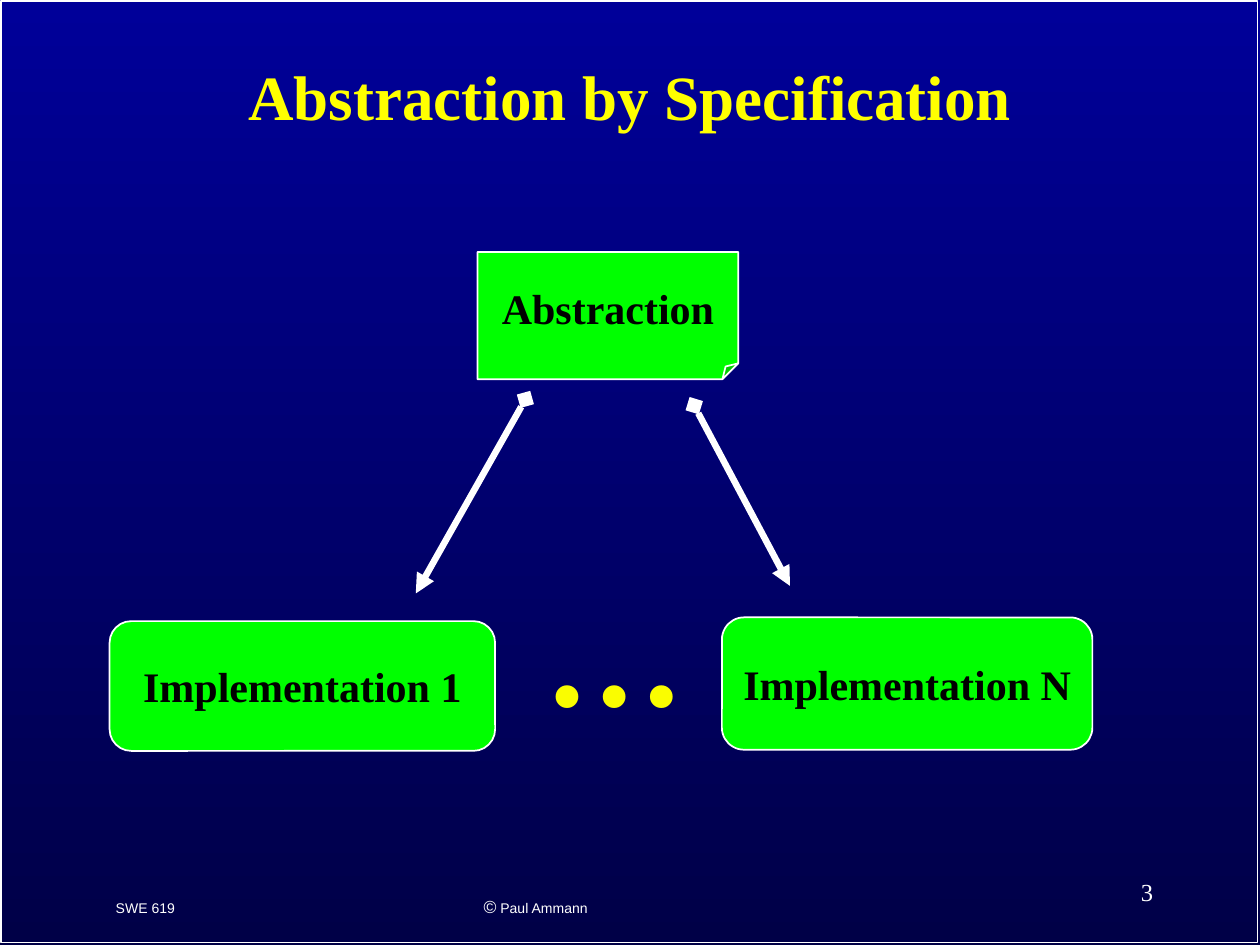
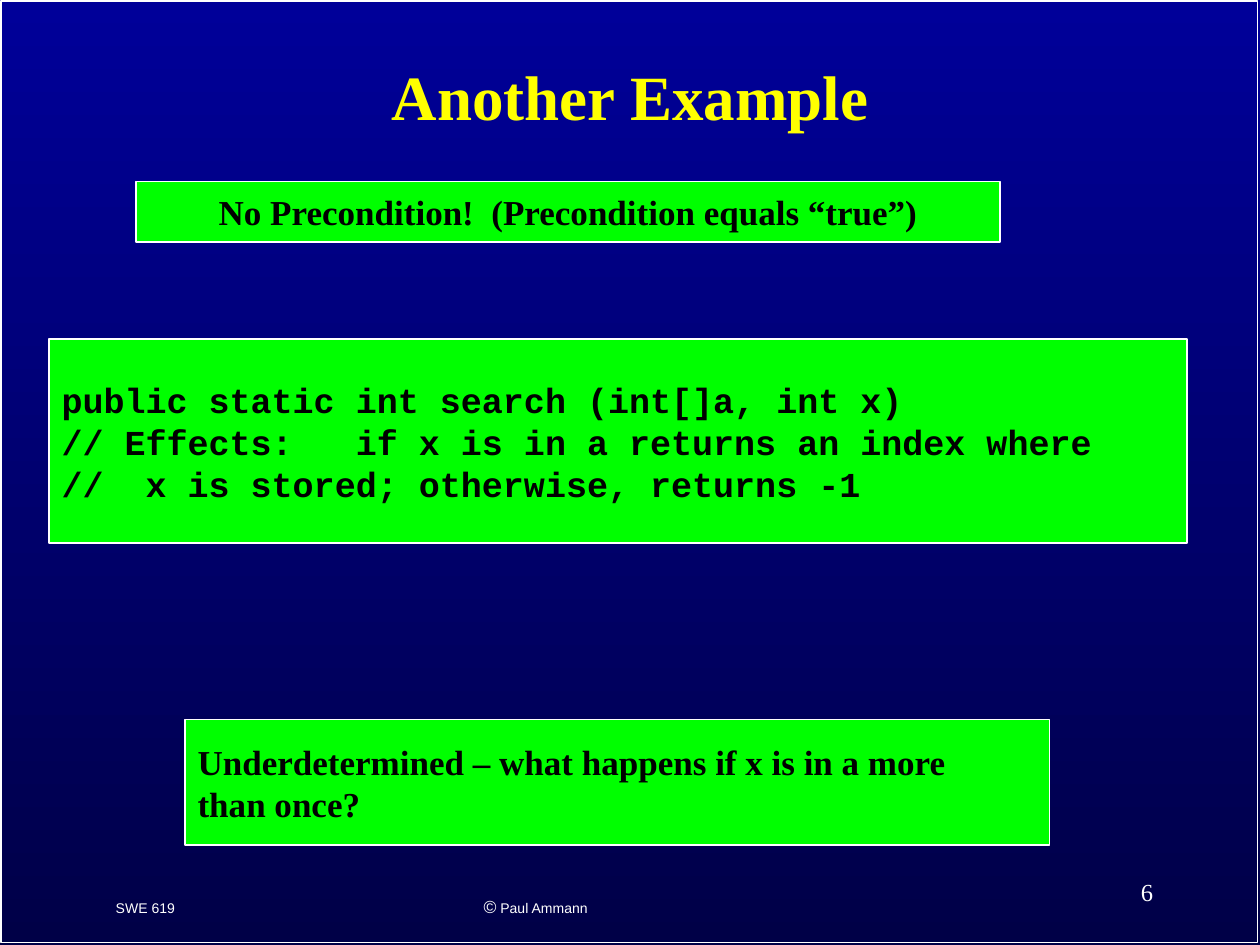
from pptx import Presentation
from pptx.dml.color import RGBColor
from pptx.enum.shapes import MSO_CONNECTOR, MSO_SHAPE
from pptx.enum.text import MSO_ANCHOR, PP_ALIGN
from pptx.oxml.ns import qn
from pptx.util import Inches, Pt
from lxml.etree import SubElement

COLORS = {
    "sky": "000099",
    "night": "000047",
    "title": "FFFF00",
    "dots": "FAFD00",
    "panel": "00FF00",
    "ink": "000000",
    "white": "FFFFFF",
}
SERIF, SANS, MONO = "Times New Roman", "Arial", "Courier New"

STYLES = {
    "title": ({"name": SERIF, "size": Pt(36), "bold": True}, "title"),
    "diagram": ({"name": SERIF, "size": Pt(24), "bold": True}, "ink"),
    "remark": ({"name": SERIF, "size": Pt(20), "bold": True}, "ink"),
    "code": ({"name": MONO, "size": Pt(20), "bold": True}, "ink"),
    "dots": ({"name": SERIF, "size": Pt(80), "bold": True}, "dots"),
    "footer": ({"name": SANS, "size": Pt(8)}, "white"),
    "copyright": ({"name": SANS, "size": Pt(10)}, "white"),
    "number": ({"name": SERIF, "size": Pt(14)}, "white"),
}


def write(frame, lines, align=PP_ALIGN.LEFT, anchor=MSO_ANCHOR.TOP, wrap=False):
    """Fill a text frame; each line is a list of (text, style) runs."""
    frame.word_wrap, frame.vertical_anchor = wrap, anchor
    for index, runs in enumerate(lines):
        paragraph = frame.add_paragraph() if index else frame.paragraphs[0]
        paragraph.alignment = align
        for text, style in runs:
            run = paragraph.add_run()
            run.text = text
            font_values, color = STYLES[style]
            for key, value in font_values.items():
                setattr(run.font, key, value)
            run.font.color.rgb = RGBColor.from_string(COLORS[color])


def add_panel(slide, kind, place, fill=None):
    """Add a preset shape with a thin white outline."""
    panel = slide.shapes.add_shape(kind, *map(Inches, place))
    panel.shadow.inherit = False
    if fill:
        panel.fill.solid()
        panel.fill.fore_color.rgb = RGBColor.from_string(COLORS[fill])
    else:
        panel.fill.background()
    panel.line.color.rgb = RGBColor.from_string(COLORS["white"])
    panel.line.width = Pt(1)
    return panel


prs = Presentation()
prs.slide_width, prs.slide_height = Inches(10), Inches(7.5)

# Shared background, dark towards the bottom
background = prs.slide_master.background.fill
background.gradient()
background.gradient_angle = 270
for stop, color in zip(background.gradient_stops, ("sky", "night")):
    stop.color.rgb = RGBColor.from_string(COLORS[color])

# Content of the two slides: place, shape, alignment, style, lines
CENTER, LEFT = PP_ALIGN.CENTER, PP_ALIGN.LEFT
RECT, ROUNDED = MSO_SHAPE.RECTANGLE, MSO_SHAPE.ROUNDED_RECTANGLE
slides = [
    ("Abstraction by Specification", "3", [
        ((3.79, 2, 2.07, 1.01), MSO_SHAPE.FOLDED_CORNER, CENTER, "diagram", ["Abstraction"]),
        ((0.87, 4.93, 3.06, 1.03), ROUNDED, CENTER, "diagram", ["Implementation 1"]),
        ((5.73, 4.9, 2.94, 1.05), ROUNDED, CENTER, "diagram", ["Implementation N"]),
    ]),
    ("Another Example", "6", [
        ((0.39, 2.69, 9.03, 1.62), RECT, LEFT, "code", [
            "public static int search (int[]a, int x)",
            "// Effects:   if x is in a returns an index where",
            "//  x is stored; otherwise, returns -1",
        ]),
        ((1.08, 1.44, 6.86, 0.48), RECT, CENTER, "remark",
         ["No Precondition!  (Precondition equals “true”)"]),
        ((1.47, 5.71, 6.86, 1), RECT, LEFT, "remark",
         ["Underdetermined – what happens if x is in a more", "than once?"]),
    ]),
]

for heading, number, panels in slides:
    slide = prs.slides.add_slide(prs.slide_layouts[5])

    # Frame and footers
    add_panel(slide, RECT, (0.01, 0.01, 9.97, 7.47))
    footers = [
        ((0.82, 7.09, 0.67, 0.24), [("SWE 619", "footer")]),
        ((3.74, 7.06, 1.03, 0.54), [("©", "copyright"), (" Paul Ammann", "footer")]),
    ]
    for place, runs in footers:
        write(slide.shapes.add_textbox(*map(Inches, place)).text_frame, [runs])
    page = slide.shapes.add_textbox(Inches(7.17), Inches(6.83), Inches(2.08), Inches(0.5))
    write(page.text_frame, [[(number, "number")]], PP_ALIGN.RIGHT, MSO_ANCHOR.MIDDLE, True)

    # Title
    title = slide.shapes.title
    title.left, title.top, title.width, title.height = map(Inches, (0.75, 0.17, 8.5, 1.25))
    write(title.text_frame, [[(heading, "title")]], CENTER, MSO_ANCHOR.MIDDLE, True)
    title.text_frame.paragraphs[0].line_spacing = 0.9

    # Green panels
    for place, kind, align, style, lines in panels:
        panel = add_panel(slide, kind, place, "panel")
        if kind == MSO_SHAPE.FOLDED_CORNER:
            fold = panel._element.spPr.find(qn("a:prstGeom")).get_or_add_avLst()
            SubElement(fold, qn("a:gd"), name="adj", fmla="val 12500")
        write(panel.text_frame, [[(line, style)] for line in lines], align, MSO_ANCHOR.MIDDLE)

# Arrows from the abstraction to its implementations
diagram = prs.slides[0]
for ends in ((4.17, 3.17, 3.3, 4.71), (5.51, 3.22, 6.27, 4.65)):
    arrow = diagram.shapes.add_connector(MSO_CONNECTOR.STRAIGHT, *map(Inches, ends))
    arrow.line.color.rgb = RGBColor.from_string(COLORS["white"])
    arrow.line.width = Pt(3.75)
    outline = arrow._element.spPr.find(qn("a:ln"))
    SubElement(outline, qn("a:headEnd"), type="diamond")
    SubElement(outline, qn("a:tailEnd"), type="triangle")
    SubElement(arrow._element.spPr, qn("a:effectLst"))

# Dots between the implementations
dots = diagram.shapes.add_textbox(Inches(4.22), Inches(4.45), Inches(1.38), Inches(1.44))
write(dots.text_frame, [[("…", "dots")]], wrap=True)

prs.save("out.pptx")
